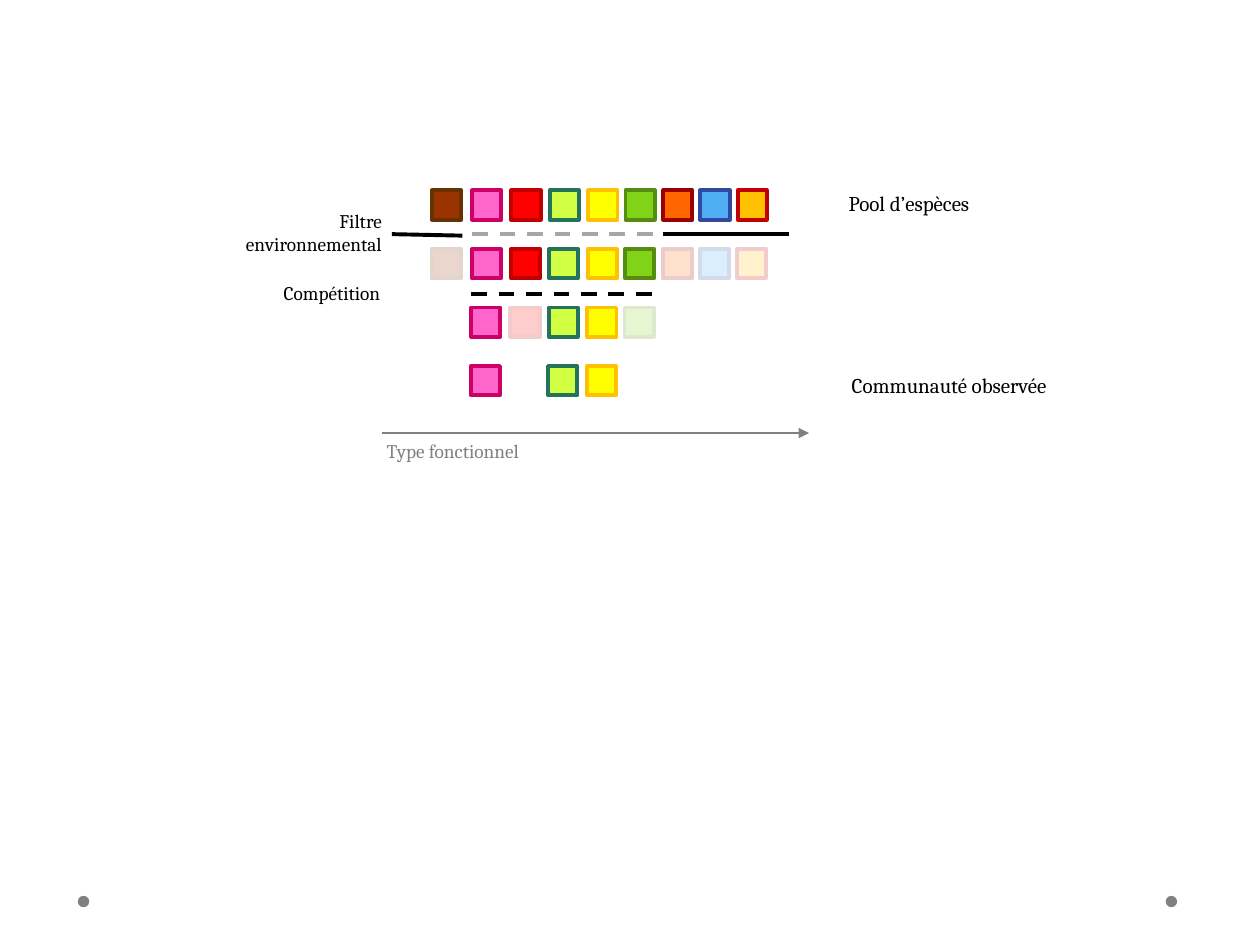
from lxml.etree import SubElement as Sub
from pptx import Presentation
from pptx.dml.color import RGBColor as RGB
from pptx.enum.dml import MSO_LINE_DASH_STYLE as Dash
from pptx.enum.shapes import MSO_CONNECTOR as Link, MSO_SHAPE as Form
from pptx.enum.text import MSO_AUTO_SIZE as Auto, PP_ALIGN as Align
from pptx.oxml.ns import qn
from pptx.util import Cm, Pt

SIDE = 0.59
TOP, STEP = 3.84, 1.18

# Species: left edge, fill, outline
POOL = {
    "brown": (8.71, "993300", "663300"),
    "pink": (9.52, "FF66CC", "CC0066"),
    "red": (10.31, "FF0000", "C00000"),
    "lime": (11.08, "D0FF44", "23735D"),
    "yellow": (11.86, "FFFF00", "FFC000"),
    "green": (12.61, "81D31A", "568D11"),
    "orange": (13.37, "FF6600", "990000"),
    "blue": (14.12, "4FADF3", "31489F"),
    "gold": (14.87, "FFC000", "C00000"),
}
ROWS = [
    list(POOL),
    list(POOL),
    ["pink", "red", "lime", "yellow", "green"],
    ["pink", "lime", "yellow"],
]


def paint(target, color):
    """Give a fill a solid colour."""
    target.solid()
    target.fore_color.rgb = RGB.from_string(color)


def add_form(shapes, form, x, y, w, h, fill, edge=None, alpha=None):
    item = shapes.add_shape(form, Cm(x), Cm(y), Cm(w), Cm(h))
    item.shadow.inherit = False
    paint(item.fill, fill)
    if edge:
        paint(item.line.fill, edge)
        item.line.width = Pt(2.25)
    else:
        item.line.fill.background()
    if alpha:
        tint = item.element.spPr.find(qn("a:solidFill"))[0]
        Sub(tint, qn("a:alpha"), val=str(alpha * 1000))


def add_row(shapes, row, names):
    group = shapes.add_group_shape()
    for name in names:
        x, fill, edge = POOL[name]
        add_form(group.shapes, Form.RECTANGLE, x - 0.01 * row,
                 TOP + STEP * row, SIDE, SIDE, fill, edge)


def add_veil(shapes, x, y, w=0.79):
    add_form(shapes, Form.RECTANGLE, x, y, w, 0.79, "FFFFFF", alpha=80)


def add_line(shapes, x1, y1, x2, y2, color="000000", width=2.25,
             dash=False, arrow=False):
    item = shapes.add_connector(Link.STRAIGHT, Cm(x1), Cm(y1), Cm(x2), Cm(y2))
    paint(item.line.fill, color)
    item.line.width = Pt(width)
    if dash:
        item.line.dash_style = Dash.DASH
    prop = item.element.spPr
    if arrow:
        Sub(prop.find(qn("a:ln")), qn("a:tailEnd"), type="triangle")
    Sub(prop, qn("a:effectLst"))


def add_text(shapes, text, x, y, w, h, size=11, color="000000",
             align=Align.CENTER, wrap=True):
    frame = shapes.add_textbox(Cm(x), Cm(y), Cm(w), Cm(h)).text_frame
    frame.word_wrap = wrap
    frame.auto_size = Auto.SHAPE_TO_FIT_TEXT
    para = frame.paragraphs[0]
    para.alignment = align
    run = para.add_run()
    run.text = text
    run.font.name = "Cambria"
    run.font.size = Pt(size)
    paint(run.font.fill, color)


def main():
    deck = Presentation()
    deck.slide_width, deck.slide_height = Cm(25.4), Cm(19.05)
    shapes = deck.slides.add_slide(deck.slide_layouts[6]).shapes

    # Footer dots
    for x in (1.57, 23.5):
        add_form(shapes, Form.OVAL, x, 18.06, 0.23, 0.23, "808080")

    # Rows of species
    for row, names in enumerate(ROWS):
        add_row(shapes, row, names)

    # Veils over the species filtered out
    add_veil(shapes, 8.61, 4.93)
    add_veil(shapes, 13.26, 4.93, 2.44)
    add_veil(shapes, 10.21, 6.07)
    add_veil(shapes, 12.5, 6.1)

    # Filters
    add_line(shapes, 9.52, 4.72, 13.36, 4.72, color="A6A6A6", dash=True)
    add_line(shapes, 13.36, 4.72, 15.9, 4.72)
    add_line(shapes, 7.9, 4.72, 9.32, 4.75)
    add_line(shapes, 9.5, 5.92, 13.34, 5.92, dash=True)

    # Axis
    add_line(shapes, 7.7, 8.73, 16.31, 8.73, color="808080", width=0.75,
             arrow=True)
    add_text(shapes, "Type fonctionnel", 7.24, 8.74, 3.78, 0.74,
             color="808080")

    # Labels
    add_text(shapes, "Filtre environnemental", 3.89, 4.09, 4.06, 1.19,
             align=Align.RIGHT)
    add_text(shapes, "Compétition", 3.86, 5.54, 4.06, 0.74, align=Align.RIGHT)
    add_text(shapes, "Pool d’espèces", 16.71, 3.71, 3.23, 0.76, size=12,
             wrap=False)
    add_text(shapes, "Communauté observée", 16.71, 7.39, 4.85, 0.76, size=12,
             wrap=False)

    deck.save("out.pptx")


main()
